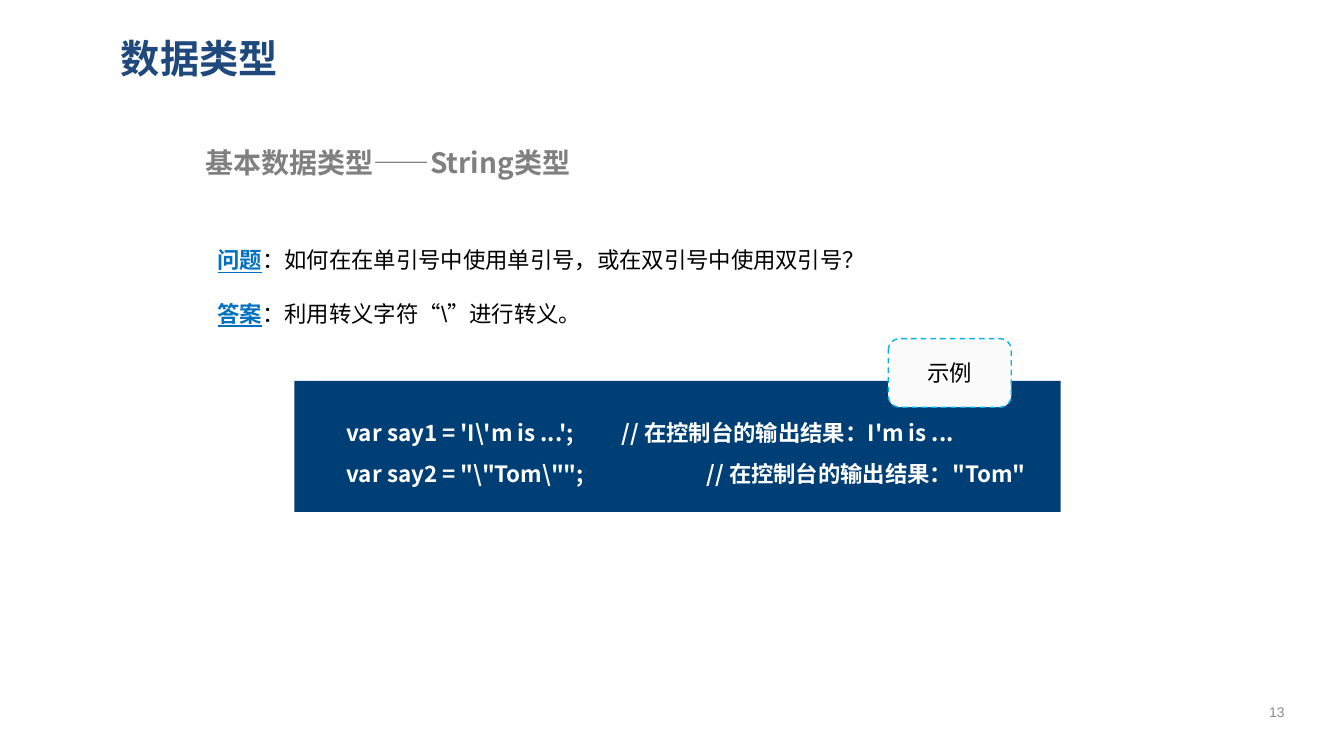
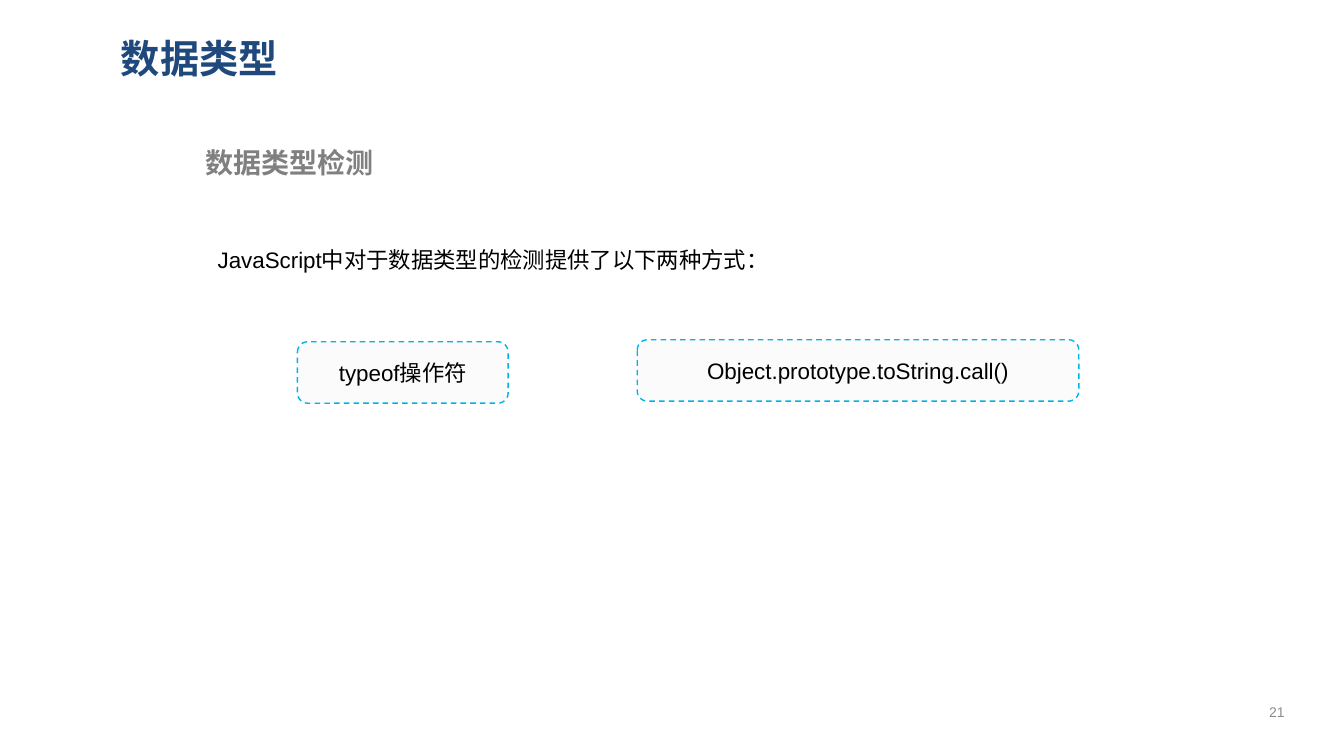
from lxml import etree
from pptx import Presentation
from pptx.dml.color import RGBColor
from pptx.enum.dml import MSO_LINE
from pptx.enum.shapes import MSO_SHAPE
from pptx.enum.text import MSO_ANCHOR, MSO_AUTO_SIZE, PP_ALIGN
from pptx.oxml.ns import qn
from pptx.util import Inches, Pt

RECT, ROUND = MSO_SHAPE.RECTANGLE, MSO_SHAPE.ROUNDED_RECTANGLE
LEFT, CENTER = PP_ALIGN.LEFT, PP_ALIGN.CENTER
MIDDLE = MSO_ANCHOR.MIDDLE
GROW = MSO_AUTO_SIZE.SHAPE_TO_FIT_TEXT
DASH = MSO_LINE.DASH

SANS, HAN = "Arial", "Noto Sans CJK SC"
TITLE, GRAY, NUMBER = "1F497D", "808080", "8C8C8C"
NAVY, PALE, CYAN, LINK = "003F75", "FBFBFB", "00B4E9", "0070C0"
BLACK, WHITE = "000000", "FFFFFF"


def rgb(code):
    return RGBColor.from_string(code)


def style(run, size, color, face=SANS, bold=False, under=False):
    """Format a run, with the Han face for East Asian text."""
    font = run.font
    font.size, font.bold, font.underline = Pt(size), bold, under
    font.color.rgb = rgb(color)
    font.name = face
    etree.SubElement(run._r.get_or_add_rPr(), qn("a:ea"), typeface=HAN)


def style_all(frame, *look, **more):
    for para in frame.paragraphs:
        for run in para.runs:
            style(run, *look, **more)


def place(shape, *box):
    shape.left, shape.top, shape.width, shape.height = map(Inches, box)


def add_text(shapes, box, text):
    """Add a wrapping text box that grows with its text."""
    frame = shapes.add_textbox(*map(Inches, box)).text_frame
    frame.word_wrap = True
    frame.auto_size = GROW
    frame.text = text
    return frame


def add_box(shapes, kind, box, fill):
    shape = shapes.add_shape(kind, *map(Inches, box))
    shape.shadow.inherit = False
    shape.fill.solid()
    shape.fill.fore_color.rgb = rgb(fill)
    shape.line.fill.background()
    return shape


def add_label(slide, box, text):
    """Add a pale rounded box with a dashed outline."""
    shape = add_box(slide.shapes, ROUND, box, PALE)
    shape.line.color.rgb = rgb(CYAN)
    shape.line.width = Pt(1)
    shape.line.dash_style = DASH
    frame = shape.text_frame
    frame.text = text
    frame.vertical_anchor = MIDDLE
    frame.paragraphs[0].alignment = CENTER
    style_all(frame, 16, BLACK)


def add_body(slide, height, lines):
    """Add double-spaced lines, each a (linked word, plain text) pair."""
    frame = add_text(slide.shapes, (2.06, 2.13, 9.19, height), "")
    for i, (word, rest) in enumerate(lines):
        para = frame.add_paragraph() if i else frame.paragraphs[0]
        para.line_spacing = 2.0
        if word:
            run = para.add_run()
            run.text = word
            style(run, 16, LINK, bold=True, under=True)
        run = para.add_run()
        run.text = rest
        style(run, 16, BLACK)


def add_code(slide, lines):
    """Add a code panel; each line is (code, comment, tab stop)."""
    shapes = slide.shapes.add_group_shape().shapes
    add_box(shapes, RECT, (2.92, 3.78, 7.6, 1.3), NAVY)
    text = "\n".join(f"{code}\t{note}" for code, note, _ in lines)
    frame = add_text(shapes, (3.34, 3.98, 7.14, 0.86), text)
    for para, (_, _, stop) in zip(frame.paragraphs, lines):
        para.line_spacing = 1.5
        tabs = etree.SubElement(para._p.get_or_add_pPr(), qn("a:tabLst"))
        etree.SubElement(tabs, qn("a:tab"), pos=str(Inches(stop)), algn="l")
    style_all(frame, 16, WHITE, HAN, bold=True)


def add_slide(deck, head, number):
    slide = deck.slides.add_slide(deck.slide_layouts[5])
    title = slide.shapes.title
    place(title, 1.1, 0.24, 11.65, 0.67)
    frame = title.text_frame
    frame.text = "数据类型"
    frame.vertical_anchor = MIDDLE
    frame.paragraphs[0].alignment = LEFT
    style_all(frame, 28, TITLE, HAN, bold=True)

    frame = add_text(slide.shapes, (1.94, 1.39, 9.22, 0.44), head)
    style_all(frame, 20, GRAY, HAN, bold=True)

    frame = add_text(slide.shapes, (12.34, 6.86, 0.65, 0.4), str(number))
    frame.auto_size = MSO_AUTO_SIZE.NONE
    frame.vertical_anchor = MIDDLE
    frame.paragraphs[0].alignment = CENTER
    style_all(frame, 10, NUMBER)
    return slide


def main():
    deck = Presentation()
    deck.slide_width, deck.slide_height = Inches(13.33), Inches(7.5)

    slide = add_slide(deck, "基本数据类型——String类型", 13)
    add_body(slide, 1.22, [
        ("问题", "：如何在在单引号中使用单引号，或在双引号中使用双引号？"),
        ("答案", "：利用转义字符“\\”进行转义。"),
    ])
    add_code(slide, [
        (r"var say1 = 'I\'m is ...';",
         "// 在控制台的输出结果：I'm is ...", 2.73),
        (r'var say2 = "\"Tom\"";',
         '// 在控制台的输出结果："Tom"', 3.57),
    ])
    add_label(slide, (8.81, 3.36, 1.22, 0.68), "示例")

    slide = add_slide(deck, "数据类型检测", 21)
    add_body(slide, 0.61, [
        ("", "JavaScript中对于数据类型的检测提供了以下两种方式："),
    ])
    add_label(slide, (2.95, 3.39, 2.09, 0.61), "typeof操作符")
    add_label(slide, (6.32, 3.37, 4.38, 0.61),
              "Object.prototype.toString.call()")

    deck.save("out.pptx")


if __name__ == "__main__":
    main()
